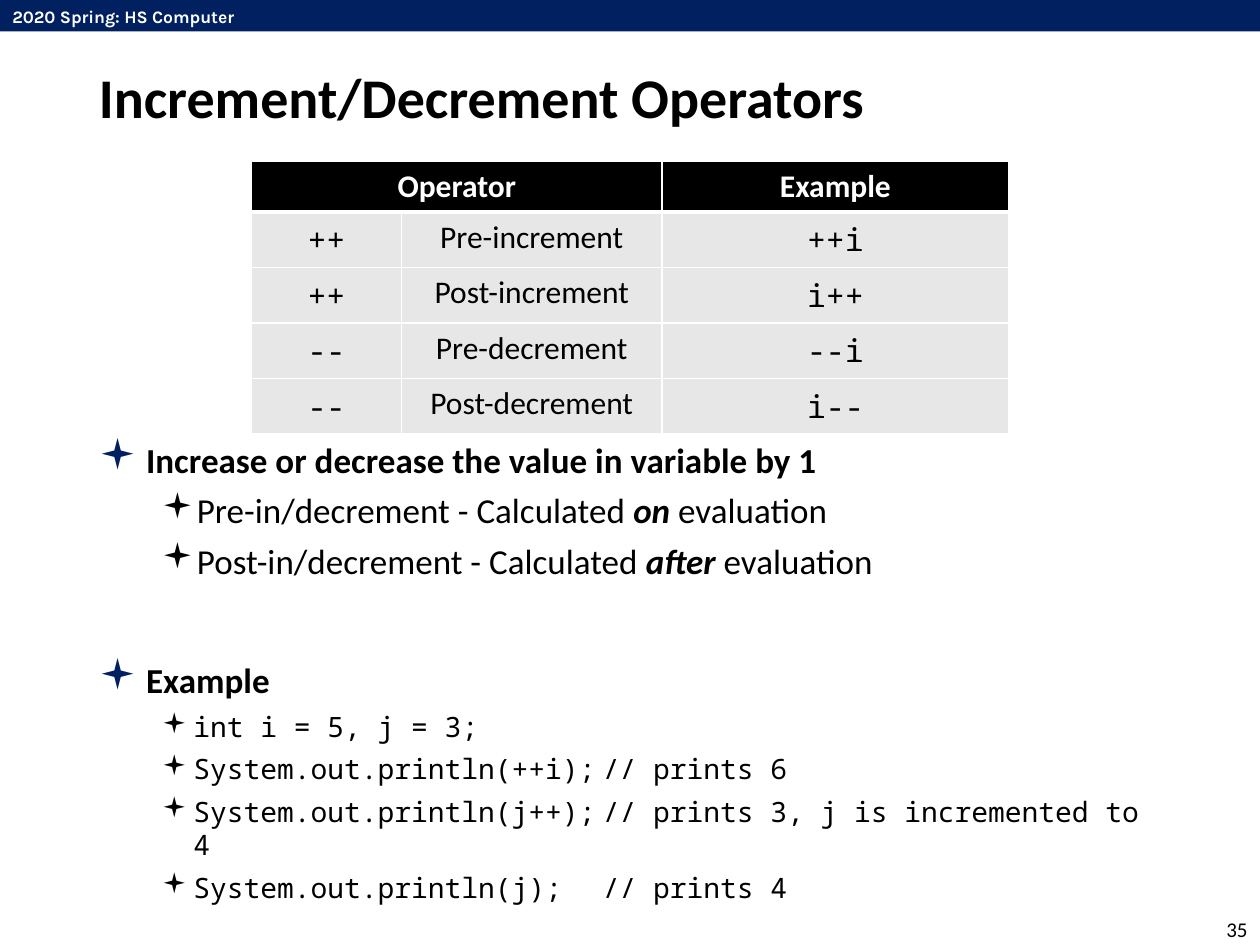
from typing import NamedTuple

from lxml import etree
from pptx import Presentation
from pptx.dml.color import RGBColor
from pptx.enum import shapes, text
from pptx.oxml import ns
from pptx.util import Pt

NAVY = RGBColor(0x00, 0x20, 0x60)
BLACK = RGBColor(0x00, 0x00, 0x00)
WHITE = RGBColor(0xFF, 0xFF, 0xFF)
GRAY = RGBColor(0xE7, 0xE7, 0xE7)
SANS, MONO, HEAD, BULLET = "Calibri", "Noto Sans Mono", "Karla", "Wingdings"
LEFT, CENTER, RIGHT = text.PP_ALIGN.LEFT, text.PP_ALIGN.CENTER, text.PP_ALIGN.RIGHT
TOP, MIDDLE = text.MSO_ANCHOR.TOP, text.MSO_ANCHOR.MIDDLE


class Style(NamedTuple):
    size: float
    name: str = SANS
    color: RGBColor = BLACK
    bold: bool = False
    italic: bool = False


class Label(NamedTuple):
    text: str
    box: tuple[float, float, float, float]
    style: Style
    align: text.PP_ALIGN = LEFT
    anchor: text.MSO_ANCHOR = TOP
    wrap: bool = True


class Level(NamedTuple):
    margin: float
    indent: float
    line: float
    bullet: RGBColor
    percent: int


class Item(NamedTuple):
    level: Level
    runs: list[tuple[str, Style]]
    before: float = 5


POINT = Level(27, -27, 1.2, NAVY, 120)
SUB = Level(54, -18, 1.0, BLACK, 100)
BODY, BOLD = Style(20), Style(20, bold=True)
STRESS = Style(20, bold=True, italic=True)
CODE = Style(16, MONO)

LABELS = [
    Label("2020 Spring: HS Computer", (0, 0, 166, 19.5),
          Style(10, HEAD, WHITE, True), wrap=False),
    Label("35", (674.6, 522, 45.4, 18), Style(12), RIGHT, MIDDLE),
    Label("Increment/Decrement Operators", (49.4, 28.8, 620.6, 52.6),
          Style(32, bold=True), LEFT, MIDDLE),
]
CODE_LINES = [
    "int i = 5, j = 3;",
    "System.out.println(++i);\t// prints 6",
    "System.out.println(j++);\t// prints 3, j is incremented to 4",
    "System.out.println(j);\t// prints 4",
]
ITEMS = [
    Item(POINT, [("Increase or decrease the value in variable by 1", BOLD)], 0),
    *(Item(SUB, [(f"{kind}-in/decrement - Calculated ", BODY), (when, STRESS),
                 (" evaluation", BODY)])
      for kind, when in (("Pre", "on"), ("Post", "after"))),
    Item(POINT, [("Example", BOLD)], 39.4),
    *(Item(SUB, [(line, CODE)]) for line in CODE_LINES),
]
ROWS = [
    ("Operator", "", "Example"),
    ("++", "Pre-increment", "++i"),
    ("++", "Post-increment", "i++"),
    ("--", "Pre-decrement", "--i"),
    ("--", "Post-decrement", "i--"),
]
COLUMNS = (85.7, 149, 198)
HEIGHTS = (29.2, *[31.7] * 4)


def apply(obj, **values) -> None:
    for key, value in values.items():
        setattr(obj, key, value)


def add_run(p, content: str, style: Style) -> None:
    r = p.add_run()
    r.text = content
    apply(r.font, size=Pt(style.size), name=style.name, bold=style.bold, italic=style.italic)
    r.font.color.rgb = style.color


def add_box(slide, box, **frame):
    tf = slide.shapes.add_textbox(*map(Pt, box)).text_frame
    apply(tf, **frame)
    return tf


def add_label(slide, label: Label) -> None:
    tf = add_box(slide, label.box, word_wrap=label.wrap, vertical_anchor=label.anchor)
    p = tf.paragraphs[0]
    p.alignment = label.align
    add_run(p, label.text, label.style)


def add_child(parent, tag: str, **attrs: str):
    return etree.SubElement(parent, ns.qn(tag), attrs)


def add_item(p, item: Item) -> None:
    level = item.level
    apply(p, space_before=Pt(item.before), line_spacing=level.line,
          level=int(level is SUB))
    pPr = p._p.get_or_add_pPr()
    pPr.set("marL", str(Pt(level.margin)))
    pPr.set("indent", str(Pt(level.indent)))
    add_child(add_child(pPr, "a:buClr"), "a:srgbClr", val=str(level.bullet))
    add_child(pPr, "a:buSzPct", val=str(level.percent * 1000))
    add_child(pPr, "a:buFont", typeface=BULLET)
    add_child(pPr, "a:buChar", char="▪")
    for content, style in item.runs:
        add_run(p, content, style)


def add_body(slide) -> None:
    tf = add_box(slide, (49.4, 242, 620.6, 269.9), word_wrap=True)
    for i, item in enumerate(ITEMS):
        add_item(tf.add_paragraph() if i else tf.paragraphs[0], item)


def set_borders(cell, **widths: float) -> None:
    tcPr = cell._tc.get_or_add_tcPr()
    for side, width in widths.items():
        ln = add_child(tcPr, f"a:ln{side}", w=str(Pt(width)))
        add_child(add_child(ln, "a:solidFill"), "a:srgbClr", val=str(WHITE))


def add_operator_table(slide) -> None:
    frame = slide.shapes.add_table(len(ROWS), len(COLUMNS), Pt(143.7), Pt(91.9),
                                   Pt(sum(COLUMNS)), Pt(sum(HEIGHTS)))
    table = frame.table
    for column, width in zip(table.columns, COLUMNS):
        column.width = Pt(width)
    for i, (row, height) in enumerate(zip(ROWS, HEIGHTS)):
        table.rows[i].height = Pt(height)
        for j, content in enumerate(row):
            cell = table.cell(i, j)
            set_borders(cell, L=1, R=1, T=3 if i == 1 else 1, B=1 if i else 3)
            cell.fill.solid()
            cell.fill.fore_color.rgb = GRAY if i else BLACK
            if content:
                p = cell.text_frame.paragraphs[0]
                p.alignment = CENTER
                font = SANS if i == 0 or j == 1 else MONO
                add_run(p, content, Style(18, font, BLACK if i else WHITE, i == 0))
    table.cell(0, 0).merge(table.cell(0, 1))


def add_banner(slide) -> None:
    sp = slide.shapes.add_shape(shapes.MSO_SHAPE.RECTANGLE, 0, 0, Pt(720), Pt(18))
    sp.shadow.inherit = False
    sp.fill.solid()
    sp.fill.fore_color.rgb = NAVY
    sp.line.fill.background()


def main() -> None:
    prs = Presentation()
    apply(prs, slide_width=Pt(720), slide_height=Pt(540))
    slide = prs.slides.add_slide(prs.slide_layouts[6])
    add_banner(slide)
    for label in LABELS:
        add_label(slide, label)
    add_body(slide)
    add_operator_table(slide)
    prs.save("out.pptx")


if __name__ == "__main__":
    main()
